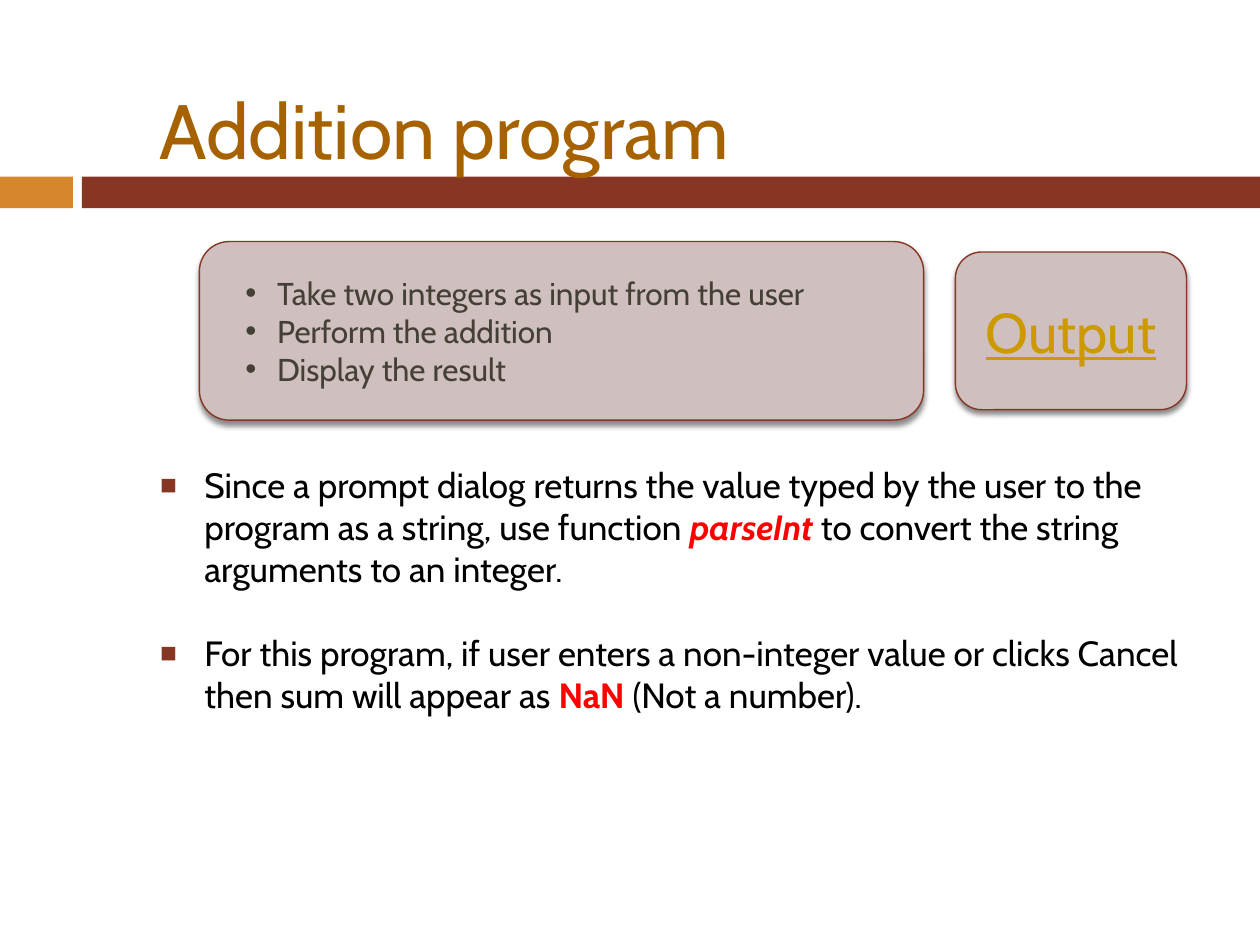
from dataclasses import dataclass

from lxml import etree
from pptx import Presentation
from pptx import util as u
from pptx.dml.color import RGBColor
from pptx.enum import shapes, text
from pptx.oxml.ns import qn


@dataclass(frozen=True)
class Theme:
    font: str = "Cabin"
    bullet_font: str = "Arial"
    title: str = "A66200"
    accent: str = "D6862D"
    bar: str = "873624"
    panel: str = "CFBFBE"
    panel_text: str = "444036"
    link: str = "CC9900"
    body: str = "000000"
    highlight: str = "FF0000"
    title_size: int = 44
    output_size: int = 32
    body_size: int = 20
    panel_size: int = 18


def add_text(paragraph, content, *, font, size, color, bold=False, italic=False, underline=False):
    run = paragraph.add_run()
    run.text = content
    style = run.font
    style.name, style.size = font, u.Pt(size)
    style.bold, style.italic, style.underline = bold, italic, underline
    style.color.rgb = RGBColor.from_string(color)


def sub(parent, tag, **attributes):
    return etree.SubElement(parent, qn(tag), {k: str(v) for k, v in attributes.items()})


def add_bullet(paragraph, char, *, font, color, margin, hanging, percent=100):
    properties = paragraph._p.get_or_add_pPr()
    properties.set("marL", str(u.Cm(margin)))
    properties.set("indent", str(-u.Cm(hanging)))
    sub(sub(properties, "a:buClr"), "a:srgbClr", val=color)
    sub(properties, "a:buSzPct", val=percent * 1000)
    sub(properties, "a:buFont", typeface=font)
    sub(properties, "a:buChar", char=char)


def add_shadow(shape):
    shape.shadow.inherit = False
    effects = shape.element.spPr.find(qn("a:effectLst"))
    shadow = sub(effects, "a:outerShdw", blurRad=u.Pt(3), dist=u.Pt(2.4),
                 dir=90 * 60000, algn="ctr", rotWithShape=0)
    sub(sub(shadow, "a:srgbClr", val="000000"), "a:alpha", val=45000)


def place(shape, left, top, width, height):
    shape.left, shape.top = u.Cm(left), u.Cm(top)
    shape.width, shape.height = u.Cm(width), u.Cm(height)


def paragraphs(frame, count):
    """Return count paragraphs, the first being the one the frame already has."""
    return [frame.paragraphs[0]] + [frame.add_paragraph() for _ in range(count - 1)]


class SlideBuilder:
    """Holds the theme and the slide being filled."""

    def __init__(self, slide, theme):
        self.slide, self.theme = slide, theme

    def shape(self, kind, box, fill):
        shape = self.slide.shapes.add_shape(kind, *map(u.Cm, box))
        shape.fill.solid()
        shape.fill.fore_color.rgb = RGBColor.from_string(fill)
        return shape

    def bar(self, box, fill):
        """Add a plain band behind the placeholders."""
        band = self.shape(shapes.MSO_SHAPE.RECTANGLE, box, fill)
        band.line.fill.background()
        band.shadow.inherit = False
        self.slide.shapes.element.insert(2, band.element)

    def title(self, box, content):
        heading = self.slide.shapes.title
        place(heading, *box)
        frame = heading.text_frame
        frame.auto_size = text.MSO_AUTO_SIZE.NONE
        frame.vertical_anchor = text.MSO_ANCHOR.MIDDLE
        line = frame.paragraphs[0]
        line.alignment = text.PP_ALIGN.LEFT
        add_text(line, content, font=self.theme.font, size=self.theme.title_size,
                 color=self.theme.title)

    def panel(self, box):
        """Add a rounded, shadowed panel and return its text frame."""
        panel = self.shape(shapes.MSO_SHAPE.ROUNDED_RECTANGLE, box, self.theme.panel)
        panel.line.color.rgb = RGBColor.from_string(self.theme.bar)
        panel.line.width = u.Pt(0.79)
        add_shadow(panel)
        frame = panel.text_frame
        frame.word_wrap = True
        frame.vertical_anchor = text.MSO_ANCHOR.MIDDLE
        return frame

    def output_panel(self, box, content):
        label = self.panel(box).paragraphs[0]
        label.alignment = text.PP_ALIGN.CENTER
        add_text(label, content, font=self.theme.font, size=self.theme.output_size,
                 color=self.theme.link, underline=True)

    def steps_panel(self, box, steps):
        theme = self.theme
        for line, step in zip(paragraphs(self.panel(box), len(steps)), steps):
            line.alignment = text.PP_ALIGN.LEFT
            add_bullet(line, "•", font=theme.bullet_font, color=theme.panel_text,
                       margin=1.14, hanging=0.64)
            add_text(line, step, font=theme.font, size=theme.panel_size, color=theme.panel_text)

    def body(self, box, points):
        """Fill the body; each point is a list of (text, extra format) pairs."""
        theme = self.theme
        holder = self.slide.placeholders[1]
        place(holder, *box)
        frame = holder.text_frame
        frame.auto_size = text.MSO_AUTO_SIZE.NONE
        frame.vertical_anchor = text.MSO_ANCHOR.TOP
        frame.margin_left, frame.margin_top = u.Cm(0.15), u.Cm(0.25)
        frame.margin_right, frame.margin_bottom = u.Cm(0.25), u.Cm(0.13)
        for line, point in zip(paragraphs(frame, len(points)), points):
            line.space_before = u.Pt(0)
            line.space_after = u.Pt(1.2 * theme.body_size)
            add_bullet(line, "■", font=theme.bullet_font, color=theme.bar,
                       margin=1.22, hanging=0.89, percent=80)
            for content, extra in point:
                add_text(line, content, **{"font": theme.font, "size": theme.body_size,
                                           "color": theme.body, **extra})


def main():
    deck = Presentation()
    deck.slide_width, deck.slide_height = u.Cm(25.4), u.Cm(19.05)
    theme = Theme()
    builder = SlideBuilder(deck.slides.add_slide(deck.slide_layouts[1]), theme)
    strong = {"color": theme.highlight, "bold": True}

    builder.bar((0, 3.56, 1.47, 0.64), theme.accent)
    builder.bar((1.65, 3.56, 23.75, 0.64), theme.bar)
    builder.title((2.96, 0.85, 21.17, 3.47), "Addition program")
    builder.output_panel((19.26, 5.08, 4.66, 3.18), "Output")
    builder.body((2.75, 9.1, 21.38, 8.25), [
        [("Since a prompt dialog returns the value typed by the user to the program "
          "as a string, use function ", {}),
         ("parseInt ", {**strong, "italic": True}),
         ("to convert the string arguments to an integer.", {})],
        [("For this program, if user enters a non-integer value or clicks Cancel "
          "then sum will appear as ", {}),
         ("NaN", strong),
         (" (Not a number).", {})],
    ])
    builder.steps_panel((4.02, 4.87, 14.6, 3.6), [
        "Take two integers as input from the user",
        "Perform the addition",
        "Display the result",
    ])
    deck.save("out.pptx")


if __name__ == "__main__":
    main()
